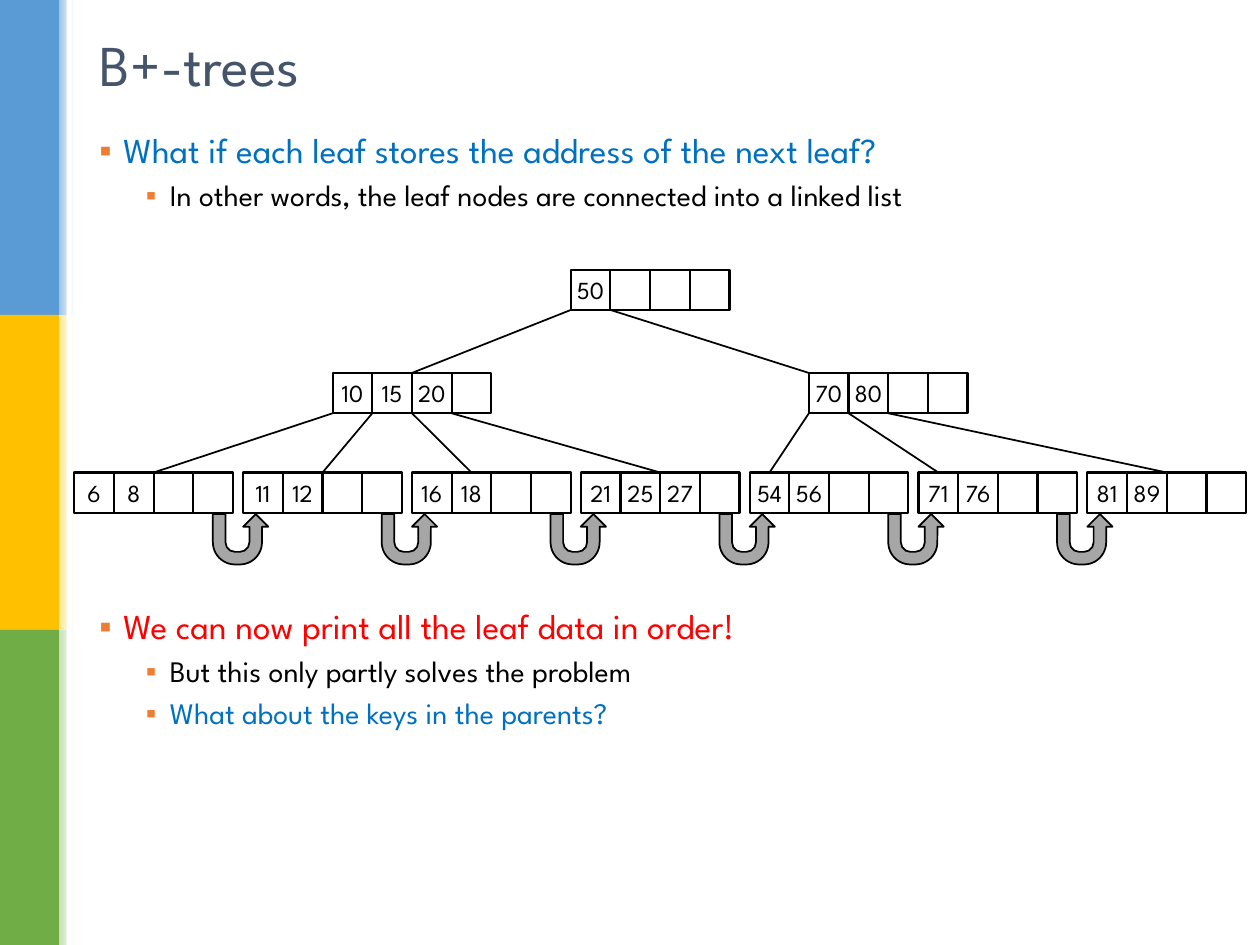
from lxml import etree
from pptx import Presentation
from pptx import util as u
from pptx.dml.color import RGBColor
from pptx.enum import shapes, text
from pptx.oxml.ns import qn

FONT = "League Spartan"
Inches = u.Inches


def color(hex_string):
    return RGBColor.from_string(hex_string)


def write(paragraph, words, size, hex_string="000000", align=text.PP_ALIGN.LEFT,
          bullet_level=None, space_before=0):
    properties = paragraph._p.get_or_add_pPr()
    if bullet_level is not None:
        properties.set("marL", str(Inches((0.19, 0.56)[bullet_level])))
        properties.set("indent", str(-Inches(0.19)))
        bullet_color = etree.SubElement(properties, qn("a:buClr"))
        etree.SubElement(bullet_color, qn("a:srgbClr"), val="ED7D31")
        etree.SubElement(properties, qn("a:buFont"), typeface="Arial")
        etree.SubElement(properties, qn("a:buChar"), char="▪")
        paragraph.level = bullet_level
        paragraph.line_spacing = 0.9
    paragraph.alignment = align
    paragraph.space_before = u.Pt(space_before)
    run = paragraph.add_run()
    run.text = words
    run.font.name = FONT
    run.font.size = u.Pt(size)
    run.font.color.rgb = color(hex_string)


presentation = Presentation()
presentation.slide_width = Inches(10)
presentation.slide_height = Inches(7.5)
slide = presentation.slides.add_slide(presentation.slide_layouts[5])
RECTANGLE = shapes.MSO_SHAPE.RECTANGLE

# Side band: three colours, each fading out to the right
for row, (solid, light) in enumerate([("5B9BD5", "9DC3E6"), ("FFC000", "FFE699"),
                                      ("70AD47", "C5E0B4")]):
    top = Inches(2.5 * row)
    block = slide.shapes.add_shape(RECTANGLE, 0, top, Inches(0.47), Inches(2.5))
    block.fill.solid()
    block.fill.fore_color.rgb = color(solid)
    fade = slide.shapes.add_shape(RECTANGLE, Inches(0.47), top, Inches(0.12), Inches(2.5))
    fade.fill.gradient()
    fade.fill.gradient_angle = 0
    for stop, shade in zip(fade.fill.gradient_stops, (light, "FFFFFF")):
        stop.color.rgb = color(shade)
    for shape in (block, fade):
        shape.line.fill.background()
        shape.shadow.inherit = False
stripe = slide.shapes.add_shape(RECTANGLE, Inches(0.53), 0, Inches(0.04), Inches(7.5))
stripe.fill.solid()
stripe.fill.fore_color.rgb = color("FFFFFF")
stripe.line.fill.background()
stripe.shadow.inherit = False

# Title
title = slide.shapes.title
title.left, title.top = Inches(0.69), Inches(0.16)
title.width, title.height = Inches(8.62), Inches(0.68)
title.text_frame.vertical_anchor = text.MSO_ANCHOR.MIDDLE
write(title.text_frame.paragraphs[0], "B+-trees", 33, "44546A")

# Bullets above and below the tree
bullet_groups = [
    (1.01, [("What if each leaf stores the address of the next leaf?", 0, "0070C0"),
            ("In other words, the leaf nodes are connected into a linked list", 1, "000000")]),
    (4.79, [("We can now print all the leaf data in order!", 0, "FF0000"),
            ("But this only partly solves the problem", 1, "000000"),
            ("What about the keys in the parents?", 1, "0070C0")]),
]
for top, bullets in bullet_groups:
    box = slide.shapes.add_textbox(Inches(0.69), Inches(top), Inches(8.92), Inches(1.1))
    box.text_frame.word_wrap = True
    for index, (words, level, hex_string) in enumerate(bullets):
        paragraph = box.text_frame.paragraphs[0] if index == 0 else box.text_frame.add_paragraph()
        write(paragraph, words, (20, 17)[level], hex_string, bullet_level=level,
              space_before=5.5 if index else 0)

# Tree geometry: every node has four cells
CELL = 1.26 / 4
CELL_HEIGHT = 0.32
ROOT_TOP, INNER_TOP, LEAF_TOP = 2.14, 2.96, 3.75
LEAF_STEP = 1.34
root_left, inner_lefts = 4.53, [2.64, 6.42]
leaf_keys = [[6, 8], [11, 12], [16, 18], [21, 25, 27], [54, 56], [71, 76], [81, 89]]
leaf_lefts = [0.59 + LEAF_STEP * index for index in range(len(leaf_keys))]

# Links between leaves
for left in leaf_lefts[:-1]:
    arrow = slide.shapes.add_shape(shapes.MSO_SHAPE.U_TURN_ARROW, Inches(left + 1.1),
                                   Inches(4.08), Inches(0.44), Inches(0.4))
    arrow._element.spPr.xfrm.set("flipH", "1")
    arrow.rotation = 180
    for index, value in enumerate((0.25, 0.25, 0.25, 0.44, 1)):
        arrow.adjustments[index] = value
    arrow.fill.solid()
    arrow.fill.fore_color.rgb = color("A6A6A6")
    arrow.line.color.rgb = color("000000")
    arrow.line.width = u.Pt(1)
    arrow.shadow.inherit = False

# Nodes
nodes = [(root_left, ROOT_TOP, [50]),
         (inner_lefts[0], INNER_TOP, [10, 15, 20]),
         (inner_lefts[1], INNER_TOP, [70, 80])]
nodes += [(left, LEAF_TOP, keys) for left, keys in zip(leaf_lefts, leaf_keys)]
for left, top, keys in nodes:
    for slot in range(4):
        cell = slide.shapes.add_shape(RECTANGLE, Inches(left + slot * CELL), Inches(top),
                                      Inches(CELL), Inches(CELL_HEIGHT))
        cell.fill.background()
        cell.line.color.rgb = color("000000")
        cell.line.width = u.Pt(1.25)
        cell.shadow.inherit = False
        if slot < len(keys):
            frame = cell.text_frame
            frame.margin_left = frame.margin_right = 0
            frame.vertical_anchor = text.MSO_ANCHOR.MIDDLE
            write(frame.paragraphs[0], str(keys[slot]), 14, align=text.PP_ALIGN.CENTER)

# Branches: each leaves a key boundary and ends at a cell offset on the child
edges = [(root_left + slot * CELL, ROOT_TOP, end, INNER_TOP)
         for slot, end in enumerate((inner_lefts[0] + 2 * CELL, inner_lefts[1]))]
child_offsets = [2, 2, 1.5, 2, 0.5, 0.5, 2]
for index, (leaf_left, offset) in enumerate(zip(leaf_lefts, child_offsets)):
    parent, slot = divmod(index, 4)
    edges.append((inner_lefts[parent] + slot * CELL, INNER_TOP,
                  leaf_left + offset * CELL, LEAF_TOP))
for start, parent_top, end, child_top in edges:
    branch = slide.shapes.add_connector(
        shapes.MSO_CONNECTOR.STRAIGHT, Inches(start), Inches(parent_top + CELL_HEIGHT),
        Inches(end), Inches(child_top))
    branch.line.color.rgb = color("000000")
    branch.line.width = u.Pt(1)
    etree.SubElement(branch._element.spPr, qn("a:effectLst"))

presentation.save("out.pptx")
